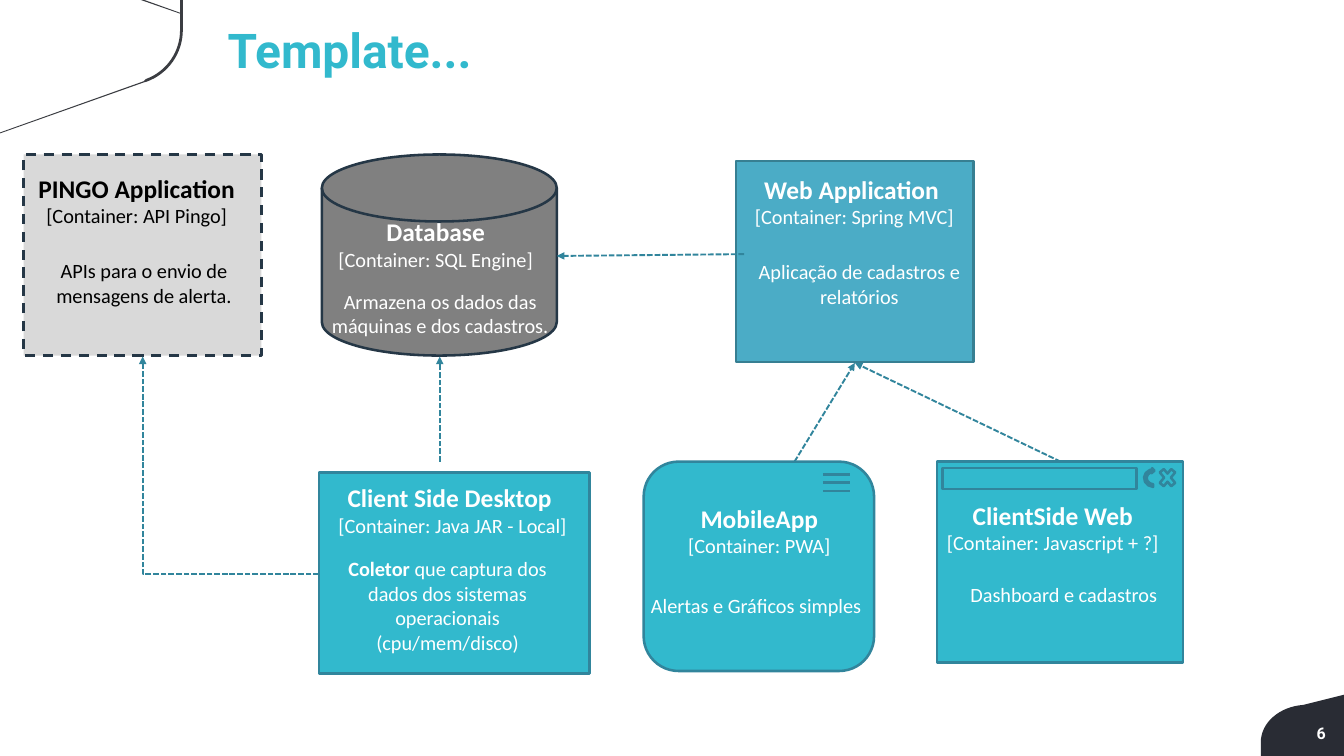
from math import cos, radians, sin

from lxml import etree
from pptx import Presentation
from pptx.dml.color import RGBColor
from pptx.enum.dml import MSO_LINE
from pptx.enum.shapes import MSO_CONNECTOR, MSO_SHAPE
from pptx.enum.text import MSO_ANCHOR, MSO_AUTO_SIZE, PP_ALIGN
from pptx.oxml.ns import qn
from pptx.util import Inches, Pt

CYAN = RGBColor(0x32, 0xB9, 0xCD)
TEAL = RGBColor(0x31, 0x85, 0x9C)
BLUE = RGBColor(0x4B, 0xAC, 0xC6)
BLUE_EDGE = RGBColor(0x37, 0x7F, 0x92)
NAVY = RGBColor(0x25, 0x37, 0x46)
GRAY = RGBColor(0x80, 0x80, 0x80)
LIGHT = RGBColor(0xD9, 0xD9, 0xD9)
INK = RGBColor(0x3B, 0x3D, 0x42)
DARK = RGBColor(0x29, 0x2C, 0x34)
WHITE = RGBColor(0xFF, 0xFF, 0xFF)
BLACK = RGBColor(0, 0, 0)


def add_run(p, text, size=16, color=WHITE, bold=False, font="Calibri"):
    r = p.add_run()
    r.text = text
    r.font.size = Pt(size)
    r.font.name = font
    r.font.bold = bold
    r.font.color.rgb = color


def add_text(shapes, box, paragraphs, align=PP_ALIGN.CENTER):
    """Each paragraph is a list of (text, format) runs."""
    sp = shapes.add_textbox(*map(Inches, box))
    tf = sp.text_frame
    tf.word_wrap = True
    for i, runs in enumerate(paragraphs):
        p = tf.add_paragraph() if i else tf.paragraphs[0]
        p.alignment = align
        for text, fmt in runs:
            add_run(p, text, **fmt)
    return tf


def add_outline(shapes, kind, box, line=TEAL, fill=None, dash=None):
    sp = shapes.add_shape(kind, *map(Inches, box))
    sp.shadow.inherit = False
    if fill is None:
        sp.fill.background()
    else:
        sp.fill.solid()
        sp.fill.fore_color.rgb = fill
    sp.line.color.rgb = line
    sp.line.width = Pt(2)
    if dash:
        sp.line.dash_style = dash
    return sp


def add_line(shapes, start, end, width=2.0):
    c = shapes.add_connector(MSO_CONNECTOR.STRAIGHT, *map(Inches, start + end))
    c.line.color.rgb = TEAL
    c.line.width = Pt(width)
    etree.SubElement(c._element.spPr, qn("a:effectLst"))
    return c


def add_arrow(shapes, start, end):
    c = add_line(shapes, start, end, 1.5)
    c.line.dash_style = MSO_LINE.SQUARE_DOT
    ln = c._element.spPr.find(qn("a:ln"))
    etree.SubElement(ln, qn("a:tailEnd"), type="triangle")
    return c


def add_corner_arrow(shapes, start, end):
    """Arrow that runs left from start, then up to end."""
    c = add_arrow(shapes, end, start)
    spPr = c._element.spPr
    spPr.find(qn("a:prstGeom")).set("prst", "bentConnector2")
    spPr.find(qn("a:xfrm")).set("rot", "10800000")


def add_container(shapes, box, heading, tech, about, head_box, about_box,
                  kind=MSO_SHAPE.RECTANGLE, fill=CYAN, line=TEAL, dash=None,
                  color=WHITE):
    """Grouped box; head_box and about_box are (dx, dy, width, height)."""
    group = shapes.add_group_shape().shapes
    x, y = box[:2]
    add_outline(group, kind, box, line, fill, dash)

    def place(inner, paragraphs):
        dx, dy, w, h = inner
        add_text(group, (x + dx, y + dy, w, h), paragraphs)

    place(head_box, [[(heading, dict(size=20, bold=True, color=color))],
                     [(tech, dict(color=color))]])
    place(about_box, [[(text, dict(bold=bold, color=color))
                       for text, bold in about]])
    return group


def add_menu_icon(shapes, x, y):
    for i in range(3):
        row = y + 0.09 * i
        add_line(shapes, (x, row), (x + 0.3, row))


def add_browser_bar(shapes, x, y):
    add_outline(shapes, MSO_SHAPE.RECTANGLE, (x + 0.06, y + 0.07, 2.12, 0.23))
    add_outline(shapes, MSO_SHAPE.MATH_MULTIPLY, (x + 2.4, y + 0.03, 0.24, 0.29))
    reload_icon = add_outline(shapes, MSO_SHAPE.CIRCULAR_ARROW,
                              (x + 2.26, y + 0.06, 0.22, 0.24))
    reload_icon.rotation = 275


def arc(cx, cy, rx, ry, first, last, steps=16):
    angles = [radians(first + (last - first) * i / steps) for i in range(steps + 1)]
    return [(cx + rx * cos(a), cy + ry * sin(a)) for a in angles]


def add_filled_path(shapes, points, fill):
    pts = [(Inches(x), Inches(y)) for x, y in points]
    builder = shapes.build_freeform(*pts[0])
    builder.add_line_segments(pts[1:], close=True)
    sp = builder.convert_to_shape()
    sp.shadow.inherit = False
    sp.fill.solid()
    sp.fill.fore_color.rgb = fill
    sp.line.fill.background()


def add_corners(shapes):
    add_filled_path(shapes, [
        (0, 1.46), (1.58, 0.9), *arc(1.4, 0.33, 0.6, 0.6, 70, 0),
        (2, 0), (1.97, 0), (1.97, 0.14), (1.58, 0), (1.54, 0), (1.97, 0.15),
        *arc(1.4, 0.33, 0.57, 0.57, 0, 70), (1.57, 0.89), (0, 1.45)], INK)
    add_filled_path(shapes, [
        (14.7, 8.27), (13.79, 8.27), *arc(14.3, 8.12, 0.51, 0.41, 180, 265),
        (14.7, 7.6)], DARK)
    tf = add_text(shapes, (13.83, 7.91, 0.69, 0.23),
                  [[("6", dict(size=12.6, bold=True, font="Roboto"))]],
                  PP_ALIGN.RIGHT)
    tf.margin_left = tf.margin_right = Inches(0.02)
    tf.margin_top = tf.margin_bottom = Inches(0.01)


def set_title(title, text):
    title.left, title.top, title.width, title.height = map(
        Inches, (2.39, 0.12, 11.79, 0.84))
    tf = title.text_frame
    tf.auto_size = MSO_AUTO_SIZE.NONE
    tf.vertical_anchor = MSO_ANCHOR.MIDDLE
    p = tf.paragraphs[0]
    p.alignment = PP_ALIGN.LEFT
    add_run(p, text, size=37.7, color=CYAN, bold=True, font="Roboto")


def add_diagram(shapes):
    add_container(
        shapes, (0.26, 1.69, 2.6, 2.2), "PINGO Application", "[Container: API Pingo]",
        [("APIs para o envio de mensagens de alerta.", False)],
        (-0.17, 0.15, 2.81, 0.71), (-0.09, 1.09, 2.81, 0.64),
        fill=LIGHT, line=NAVY, dash=MSO_LINE.DASH, color=BLACK)
    add_container(
        shapes, (3.52, 1.69, 2.57, 2.2), "Database", "[Container: SQL Engine]",
        [("Armazena os dados das máquinas e dos cadastros.", False)],
        (-0.16, 0.63, 2.81, 0.71), (-0.11, 1.42, 2.81, 0.64),
        kind=MSO_SHAPE.FLOWCHART_MAGNETIC_DISK, fill=GRAY, line=NAVY)
    add_container(
        shapes, (8.05, 1.76, 2.6, 2.2), "Web Application ", "[Container: Spring MVC]",
        [("Aplicação de cadastros e relatórios", False)],
        (-0.11, 0.09, 2.81, 0.71), (0.09, 1.03, 2.52, 0.64),
        fill=BLUE, line=BLUE_EDGE)
    add_container(
        shapes, (3.49, 5.17, 2.96, 2.2), "Client Side Desktop ",
        "[Container: Java JAR - Local]",
        [("Coletor", True),
         (" que captura dos dados dos sistemas operacionais (cpu/mem/disco)", False)],
        (-0.02, 0.06, 2.96, 0.71), (0.16, 0.87, 2.49, 1.18))
    mobile = add_container(
        shapes, (7.04, 5.05, 2.52, 2.29), "MobileApp", "[Container: PWA]",
        [("Alertas e Gráficos simples", False)],
        (-0.14, 0.4, 2.81, 0.71), (-0.03, 1.39, 2.52, 0.37),
        kind=MSO_SHAPE.ROUNDED_RECTANGLE)
    add_menu_icon(mobile, 9, 5.19)
    web = add_container(
        shapes, (10.25, 5.05, 2.69, 2.2), "ClientSide Web",
        "[Container: Javascript + ?]", [("Dashboard e cadastros", False)],
        (-0.14, 0.37, 2.81, 0.71), (-0.02, 1.27, 2.81, 0.37))
    add_browser_bar(web, 10.25, 5.05)

    for start, end in [((8.14, 2.78), (6.09, 2.8)), ((4.81, 5.05), (4.81, 3.9)),
                       ((8.69, 5.05), (9.35, 3.97)), ((11.6, 5.05), (9.35, 3.97))]:
        add_arrow(shapes, start, end)
    add_corner_arrow(shapes, (3.49, 6.28), (1.56, 3.9))


def main():
    prs = Presentation()
    prs.slide_width, prs.slide_height = Inches(14.7), Inches(8.27)
    s = prs.slides.add_slide(prs.slide_layouts[5])
    add_corners(s.shapes)
    set_title(s.shapes.title, "Template...")
    add_diagram(s.shapes)
    prs.save("out.pptx")


if __name__ == "__main__":
    main()
